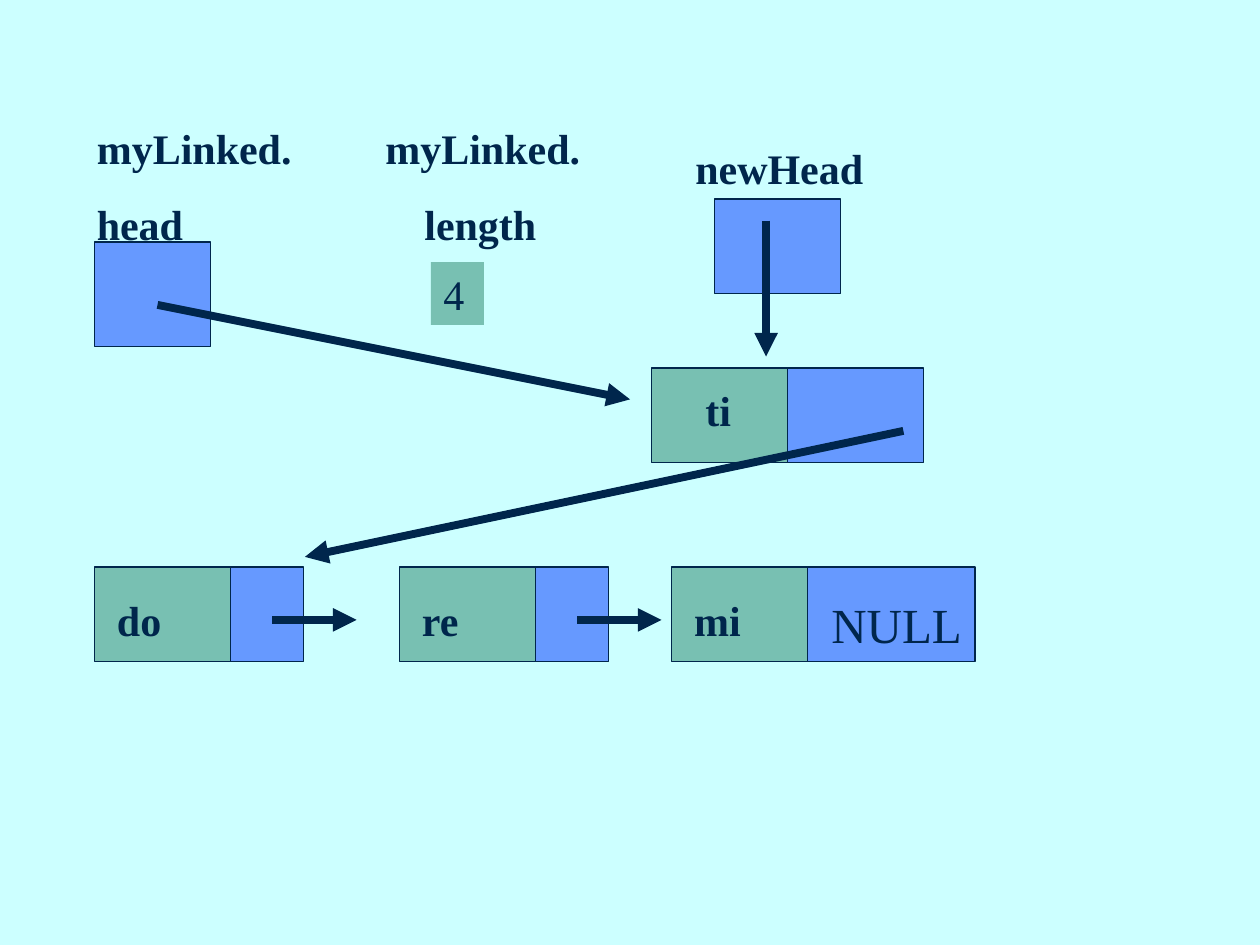
from dataclasses import dataclass

from lxml import etree
from pptx import Presentation
from pptx.dml import color
from pptx.enum import shapes, text
from pptx.oxml import ns
from pptx.util import Inches, Pt

HUES = {"page": "CCFFFF", "data": "78C0B2", "link": "6699FF", "ink": "00264C"}
FONT = "Times New Roman"
CELL_W, CELL_H = 1.08, 0.75


@dataclass
class Node:
    """A list node: a data cell followed by a link cell."""
    word: str
    left: float
    top: float
    link_w: float
    word_dx: float = 0.08
    word_dy: float = 0.17
    word_w: float = 0.92
    arrow: bool = False


def hue(key: str) -> color.RGBColor:
    return color.RGBColor.from_string(HUES[key])


def add_box(slide, left: float, top: float, wide: float, high: float, fill: str) -> None:
    box = slide.shapes.add_shape(shapes.MSO_SHAPE.RECTANGLE, Inches(left),
                                 Inches(top), Inches(wide), Inches(high))
    box.shadow.inherit = False
    box.fill.solid()
    box.fill.fore_color.rgb = hue(fill)
    box.line.color.rgb = hue("ink")
    box.line.width = Pt(0.75)


def add_label(slide, lines: list[str], left: float, top: float, wide: float,
              high: float = 0.5, size: float = 24, bold: bool = True,
              tabs: tuple[float, ...] = ()):
    """Write one paragraph per line; each line may have its own tab stop."""
    box = slide.shapes.add_textbox(Inches(left), Inches(top), Inches(wide), Inches(high))
    frame = box.text_frame
    frame.word_wrap = True
    frame.auto_size = text.MSO_AUTO_SIZE.SHAPE_TO_FIT_TEXT
    for i, line in enumerate(lines):
        para = frame.add_paragraph() if i else frame.paragraphs[0]
        if i:
            para.space_before = Pt(15)
        if tabs:
            stops = etree.SubElement(para._p.get_or_add_pPr(), ns.qn("a:tabLst"))
            etree.SubElement(stops, ns.qn("a:tab"), pos=str(Inches(tabs[i])), algn="l")
        run = para.add_run()
        run.text = line
        run.font.name = FONT
        run.font.size = Pt(size)
        run.font.bold = bold
        run.font.color.rgb = hue("ink")
    return box


def add_arrow(slide, x1: float, y1: float, x2: float, y2: float) -> None:
    arrow = slide.shapes.add_connector(shapes.MSO_CONNECTOR.STRAIGHT, Inches(x1),
                                       Inches(y1), Inches(x2), Inches(y2))
    arrow.line.color.rgb = hue("ink")
    arrow.line.width = Pt(4.5)
    etree.SubElement(arrow.line._get_or_add_ln(), ns.qn("a:tailEnd"), type="triangle")
    etree.SubElement(arrow._element.spPr, ns.qn("a:effectLst"))


def add_node(slide, node: Node) -> None:
    mid = node.left + CELL_W
    add_box(slide, node.left, node.top, CELL_W, CELL_H, "data")
    add_box(slide, mid, node.top, node.link_w, CELL_H, "link")
    if node.arrow:
        add_arrow(slide, mid + 0.33, node.top + 0.42, mid + 1, node.top + 0.42)
    add_label(slide, [node.word], node.left + node.word_dx,
              node.top + node.word_dy, node.word_w)


def main() -> None:
    deck = Presentation()
    deck.slide_width, deck.slide_height = Inches(10), Inches(7.5)
    slide = deck.slides.add_slide(deck.slide_layouts[6])
    slide.background.fill.solid()
    slide.background.fill.fore_color.rgb = hue("page")

    # List nodes
    for node in (
        Node("re", 3.17, 4.5, 0.58, arrow=True),
        Node("do", 0.75, 4.5, 0.58, arrow=True),
        Node("mi", 5.33, 4.5, 1.33),
        Node("ti", 5.17, 2.92, CELL_W, word_dx=0.33, word_dy=0.08, word_w=0.5),
    ):
        add_node(slide, node)
    add_label(slide, ["NULL"], 6.5, 4.67, 1.33, 0.57, size=28, bold=False)

    # Head and length fields
    add_label(slide, ["myLinked.\tmyLinked.", "head\tlength"],
              0.67, 0.92, 4.5, 1.11, tabs=(2.29, 2.6))
    add_box(slide, 0.75, 1.92, 0.92, 0.83, "link")
    count = add_label(slide, ["4"], 3.42, 2.08, 0.42, bold=False)
    count.fill.solid()
    count.fill.fore_color.rgb = hue("data")

    # New head pointer
    add_label(slide, ["newHead"], 5.42, 1.08, 1.75)
    add_box(slide, 5.67, 1.58, 1, CELL_H, "link")

    # Arrows: newHead to ti, ti to do, head to ti
    add_arrow(slide, 6.08, 1.75, 6.08, 2.83)
    add_arrow(slide, 7.17, 3.42, 2.42, 4.42)
    add_arrow(slide, 1.25, 2.42, 5, 3.17)

    deck.save("out.pptx")


if __name__ == "__main__":
    main()
